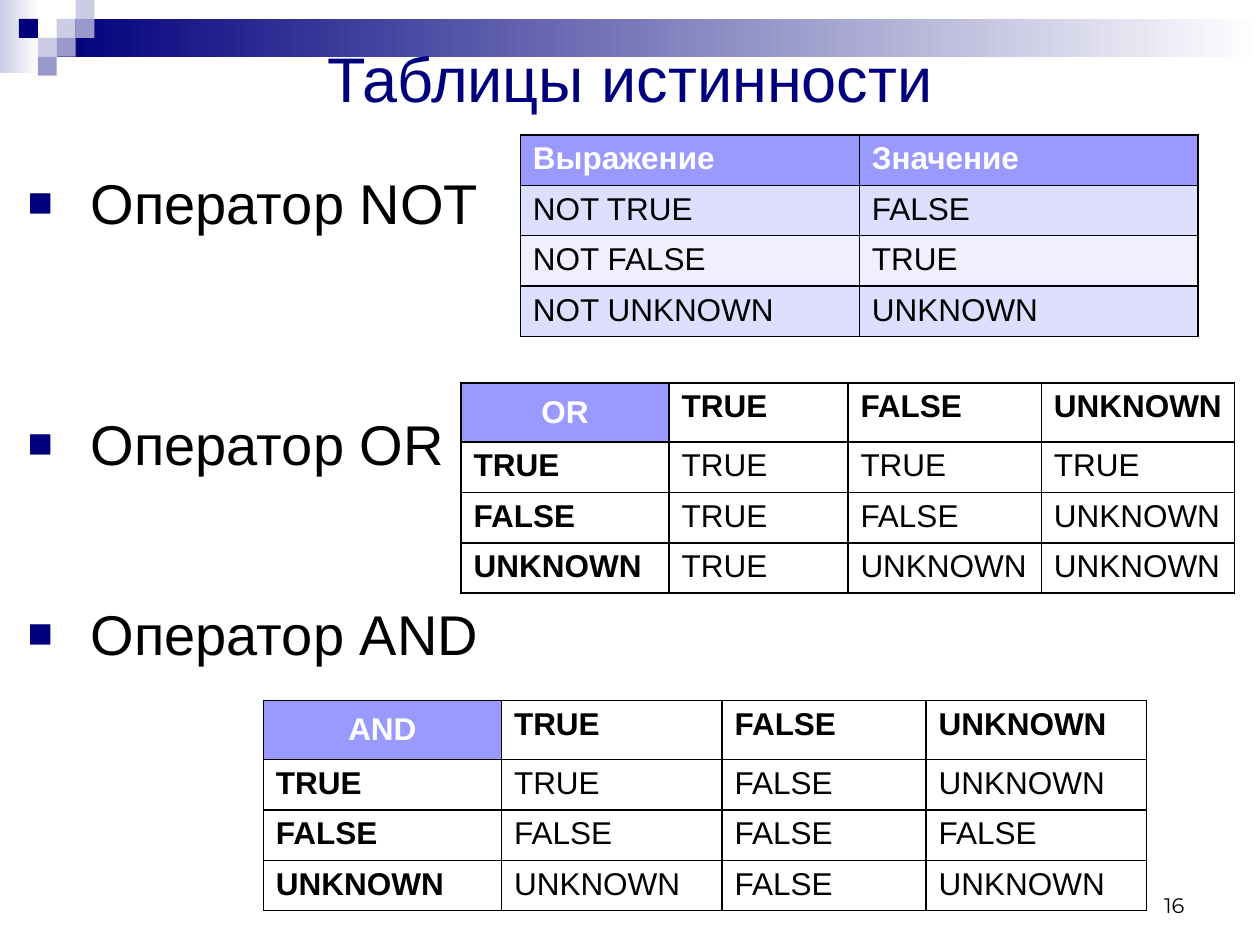
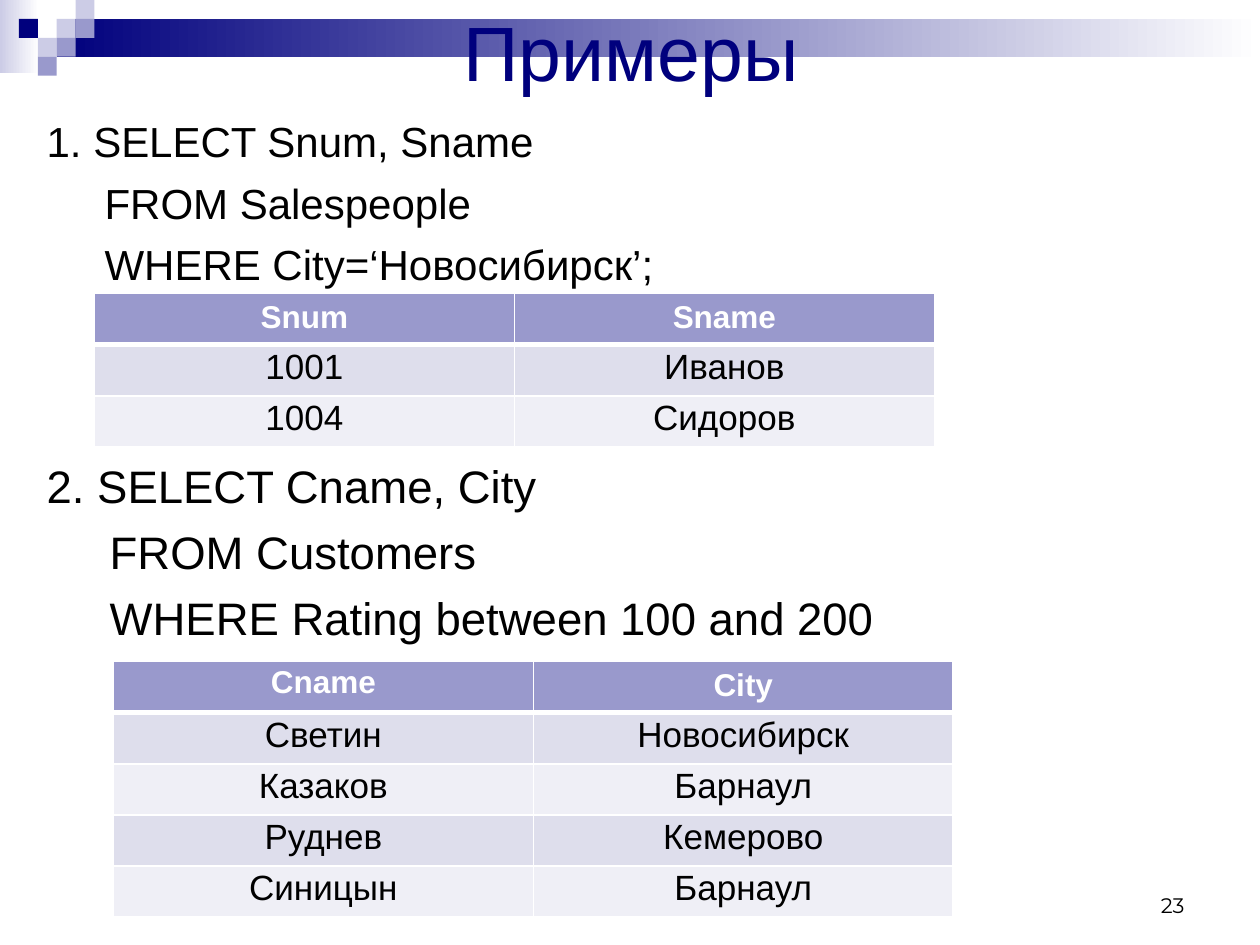
from lxml import etree
from pptx import Presentation
from pptx import util as u
from pptx.dml.color import RGBColor
from pptx.enum import shapes, text
from pptx.oxml import ns

# Shared look
NAVY, STEEL, PALE = "00007D", "9999CC", "CCCCE6"
BLACK, WHITE, VIOLET = "000000", "FFFFFF", "9999FF"
VIOLET_BANDS = ("DEDEFF", "EFEFFF")
STEEL_BANDS = ("DEDEEC", "EFEFF6")
FONT, NUMBER_FONT = "Arial", "Montserrat"
COLS, ROWS = 100, 75  # layout grid over the whole slide
TILE = 1.5            # side of a corner tile in grid units

prs = Presentation()
prs.slide_width, prs.slide_height = u.Inches(10), u.Inches(7.5)


def rgb(color):
    return RGBColor.from_string(color)


def grid(x, y, w, h):
    """Turn grid columns and rows into slide lengths."""
    dx, dy = prs.slide_width / COLS, prs.slide_height / ROWS
    return [round(n) for n in (x * dx, y * dy, w * dx, h * dy)]


def move(sp, box):
    sp.left, sp.top, sp.width, sp.height = grid(*box)


def add_run(p, words, size, color=BLACK, bold=False, font=FONT):
    r = p.add_run()
    r.text = words
    r.font.size, r.font.name, r.font.bold = u.Pt(size), font, bold
    r.font.color.rgb = rgb(color)


# Master decoration
def add_block(slide, box, *colors):
    sp = slide.shapes.add_shape(shapes.MSO_SHAPE.RECTANGLE, *grid(*box))
    sp.shadow.inherit = False
    sp.line.fill.background()
    if len(colors) == 1:
        sp.fill.solid()
        sp.fill.fore_color.rgb = rgb(colors[0])
    else:
        sp.fill.gradient()
        sp.fill.gradient_angle = 0
        for i, (stop, color) in enumerate(zip(sp.fill.gradient_stops, colors)):
            stop.color.rgb, stop.position = rgb(color), i
    return sp


def decorate_master(slide):
    """Draw the band and corner tiles, then hand them to the master."""
    blocks = [add_block(slide, (0, 0, 3.1, 5.8), PALE, WHITE),
              add_block(slide, (4.5, TILE, 95.5, 3), NAVY, WHITE)]
    tiles = [(3, 1, PALE), (4, 0, PALE), (4, 1, STEEL), (2, 2, PALE),
             (1, 1, NAVY), (3, 2, STEEL), (2, 3, STEEL)]
    for col, row, color in tiles:
        box = (col * TILE, row * TILE, TILE, TILE)
        blocks.append(add_block(slide, box, color))
    tree = prs.slide_master.shapes._spTree
    for i, sp in enumerate(blocks):
        sp.element.nvSpPr.cNvPr.set("id", str(20 + i))
        tree.insert(2 + i, sp.element)


# Slide frame: title and number
def add_slide(title, size, title_box, number):
    slide = prs.slides.add_slide(prs.slide_layouts[1])
    sp = slide.shapes.title
    move(sp, title_box)
    tf = sp.text_frame
    tf.auto_size = text.MSO_AUTO_SIZE.NONE
    tf.vertical_anchor = text.MSO_ANCHOR.MIDDLE
    p = tf.paragraphs[0]
    p.alignment = text.PP_ALIGN.CENTER
    add_run(p, title, size, NAVY)

    tf = slide.shapes.add_textbox(*grid(71.7, 68.3, 23.3, 5)).text_frame
    tf.word_wrap = True
    tf.vertical_anchor = text.MSO_ANCHOR.BOTTOM
    p = tf.paragraphs[0]
    p.alignment = text.PP_ALIGN.RIGHT
    add_run(p, number, 12, font=NUMBER_FONT)
    return slide


# Body list
def set_bullet(p, indent, square):
    pPr = p._p.get_or_add_pPr()
    pPr.set("marL", str(u.Inches(indent)))
    pPr.set("indent", str(-u.Inches(indent) if square else 0))
    if not square:
        etree.SubElement(pPr, ns.qn("a:buNone"))
        return
    color = etree.SubElement(pPr, ns.qn("a:buClr"))
    etree.SubElement(color, ns.qn("a:srgbClr"), val=NAVY)
    etree.SubElement(pPr, ns.qn("a:buSzPct"), val="75000")
    etree.SubElement(pPr, ns.qn("a:buFont"), typeface=FONT)
    etree.SubElement(pPr, ns.qn("a:buChar"), char="■")


def fill_body(slide, box, lines, square=False):
    """Each line is (words, size, indent in inches, points before)."""
    sp = slide.placeholders[1]
    move(sp, box)
    tf = sp.text_frame
    tf.auto_size = text.MSO_AUTO_SIZE.NONE
    for i, (words, size, indent, before) in enumerate(lines):
        p = tf.add_paragraph() if i else tf.paragraphs[0]
        set_bullet(p, indent, square)
        p.space_before = u.Pt(before)
        add_run(p, words, size)


# Tables
def set_borders(cell, color, widths):
    tcPr = cell._tc.get_or_add_tcPr()
    for i, (side, width) in enumerate(zip("LRTB", widths)):
        ln = etree.Element(ns.qn("a:ln" + side), w=str(u.Pt(width)))
        fill = etree.SubElement(ln, ns.qn("a:solidFill"))
        etree.SubElement(fill, ns.qn("a:srgbClr"), val=color)
        tcPr.insert(i, ln)


def add_table(slide, x, y, widths, heights, data, style):
    """style(row, col) returns the look of one cell."""
    box = grid(x, y, sum(widths), sum(heights))
    table = slide.shapes.add_table(len(data), len(widths), *box).table
    for column, w in zip(table.columns, widths):
        column.width = grid(0, 0, w, 0)[2]
    for row, h in zip(table.rows, heights):
        row.height = grid(0, 0, 0, h)[3]
    for i, values in enumerate(data):
        for j, value in enumerate(values):
            look, cell = style(i, j), table.cell(i, j)
            if look["fill"]:
                cell.fill.solid()
                cell.fill.fore_color.rgb = rgb(look["fill"])
            else:
                cell.fill.background()
            set_borders(cell, look["line"], look.get("widths", (1, 1, 1, 1)))
            if look.get("middle"):
                cell.vertical_anchor = text.MSO_ANCHOR.MIDDLE
            p = cell.text_frame.paragraphs[0]
            p.alignment = look.get("align", text.PP_ALIGN.LEFT)
            p.line_spacing = look.get("spacing")
            add_run(p, value, look.get("size", 18), look["color"], look["bold"])
    return table


def not_style(row, col):
    head = row == 0
    return dict(fill=VIOLET if head else VIOLET_BANDS[(row - 1) % 2],
                color=WHITE if head else BLACK, bold=head, line=BLACK)


def truth_style(row, col):
    if row == col == 0:
        return dict(fill=VIOLET, color=WHITE, bold=True, line=BLACK,
                    align=text.PP_ALIGN.CENTER, middle=True)
    return dict(fill=None, color=BLACK, bold=row == 0 or col == 0, line=BLACK)


def result_style(row, col):
    look = dict(line=WHITE, align=text.PP_ALIGN.CENTER,
                widths=(1, 1, 3 if row == 1 else 1, 3 if row == 0 else 1))
    if row == 0:
        return dict(look, fill=STEEL, color=WHITE, bold=True)
    return dict(look, fill=STEEL_BANDS[(row - 1) % 2], color=BLACK,
                bold=False, size=20, spacing=0.9)


def add_truth_table(slide, x, y, widths, operator, rows):
    states = ["TRUE", "FALSE", "UNKNOWN"]
    data = [[operator] + states]
    data += [[state] + row.split() for state, row in zip(states, rows)]
    add_table(slide, x, y, widths, [4.67, 4, 4, 4], data, truth_style)


def add_result(slide, x, y, data):
    return add_table(slide, x, y, [33.33] * 2, [4.06] * len(data), data,
                     result_style)


def build_truth_tables():
    slide = add_slide("Таблицы истинности", 36, (5, 3.1, 90, 6), "16")
    decorate_master(slide)
    fill_body(slide, (1.2, 12.9, 98.8, 62.1),
              [("Оператор NOT", 32, 0.5, 0),
               ("Оператор OR", 32, 0.5, 99),
               ("Оператор AND", 32, 0.5, 70)], square=True)
    add_table(slide, 41.3, 10.7, [26.9] * 2, [4] * 4,
              [("Выражение", "Значение"), ("NOT TRUE", "FALSE"),
               ("NOT FALSE", "TRUE"), ("NOT UNKNOWN", "UNKNOWN")], not_style)
    add_truth_table(slide, 36.6, 30.4, [16.5, 14.2, 15.35, 15.35], "OR",
                    ["TRUE TRUE TRUE", "TRUE FALSE UNKNOWN",
                     "TRUE UNKNOWN UNKNOWN"])
    add_truth_table(slide, 20.9, 55.6, [18.9, 17.5, 16.2, 17.5], "AND",
                    ["TRUE FALSE UNKNOWN", "FALSE FALSE FALSE",
                     "UNKNOWN FALSE UNKNOWN"])


def build_examples():
    slide = add_slide("Примеры", 44, (5.1, 0, 90, 8.1), "23")
    fill_body(slide, (2.7, 8.7, 92.4, 63.5),
              [("1. SELECT Snum, Sname", 24, 0, 0),
               ("FROM Salespeople", 24, 0.46, 6.1),
               ("WHERE City=‘Новосибирск’;", 24, 0.46, 6.1),
               ("2. SELECT Сname, City", 26, 0, 97),
               ("FROM Customers", 26, 0.5, 6.6),
               ("WHERE Rating between 100 and 200", 26, 0.5, 6.6)])
    add_result(slide, 7.5, 23.3, [("Snum", "Sname"), ("1001", "Иванов"),
                                  ("1004", "Сидоров")])
    customers = add_result(slide, 9, 52.5, [
        ("Cname", "City"), ("Светин", "Новосибирск"), ("Казаков", "Барнаул"),
        ("Руднев", "Кемерово"), ("Синицын", "Барнаул")])
    customers.cell(0, 0).text_frame.paragraphs[0].line_spacing = 0.9


def main():
    build_truth_tables()
    build_examples()
    prs.save("out.pptx")


if __name__ == "__main__":
    main()
